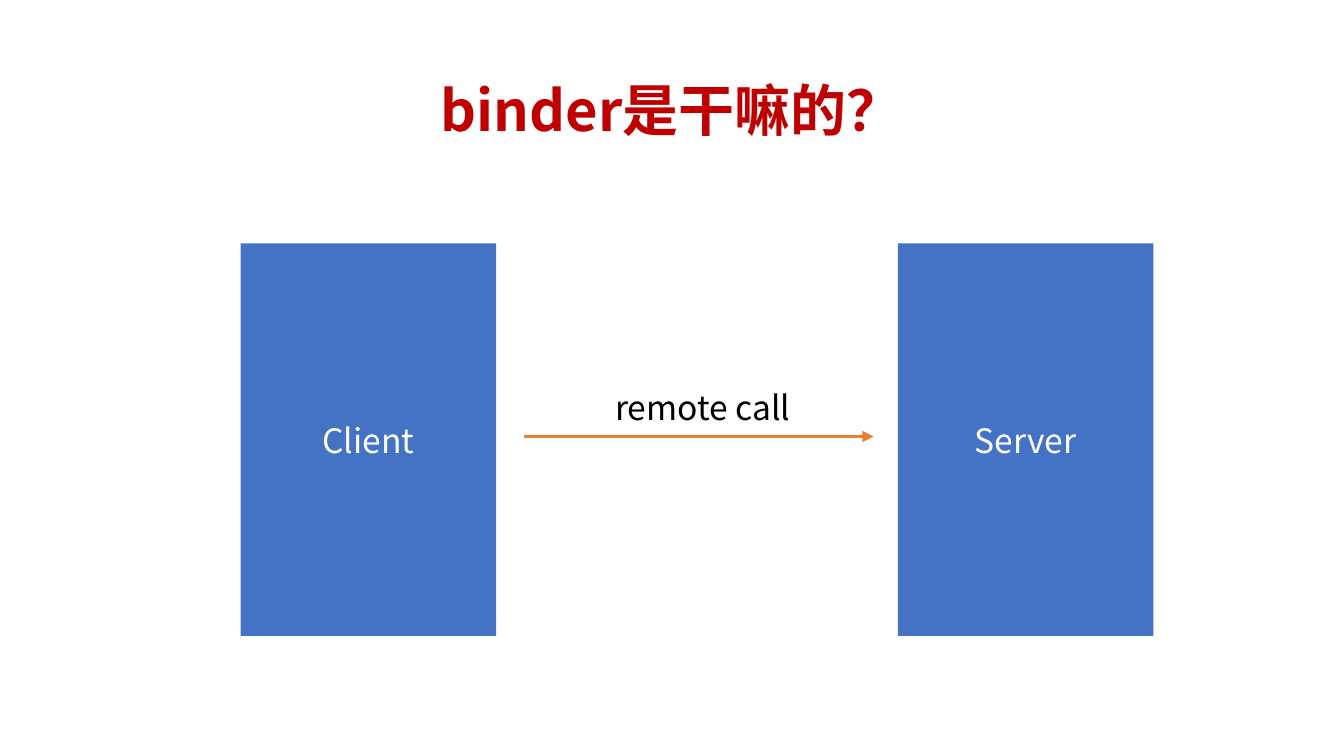
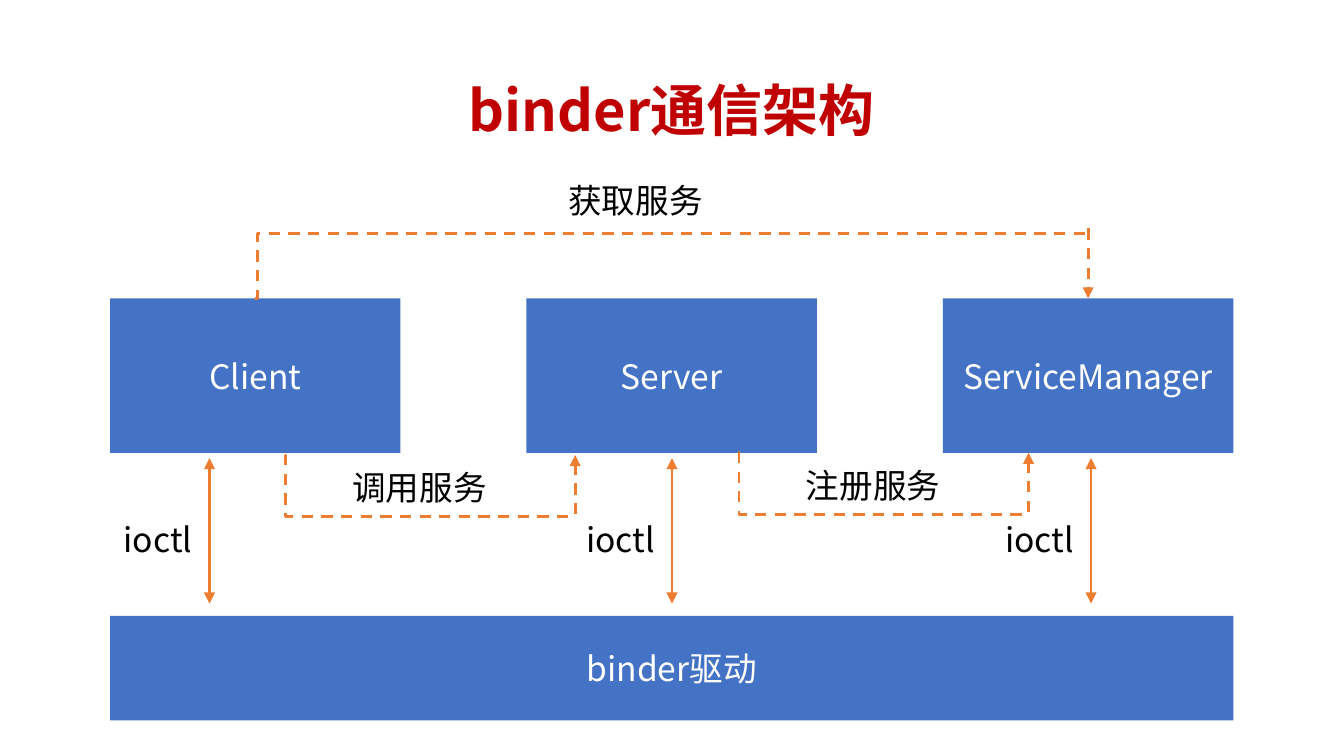
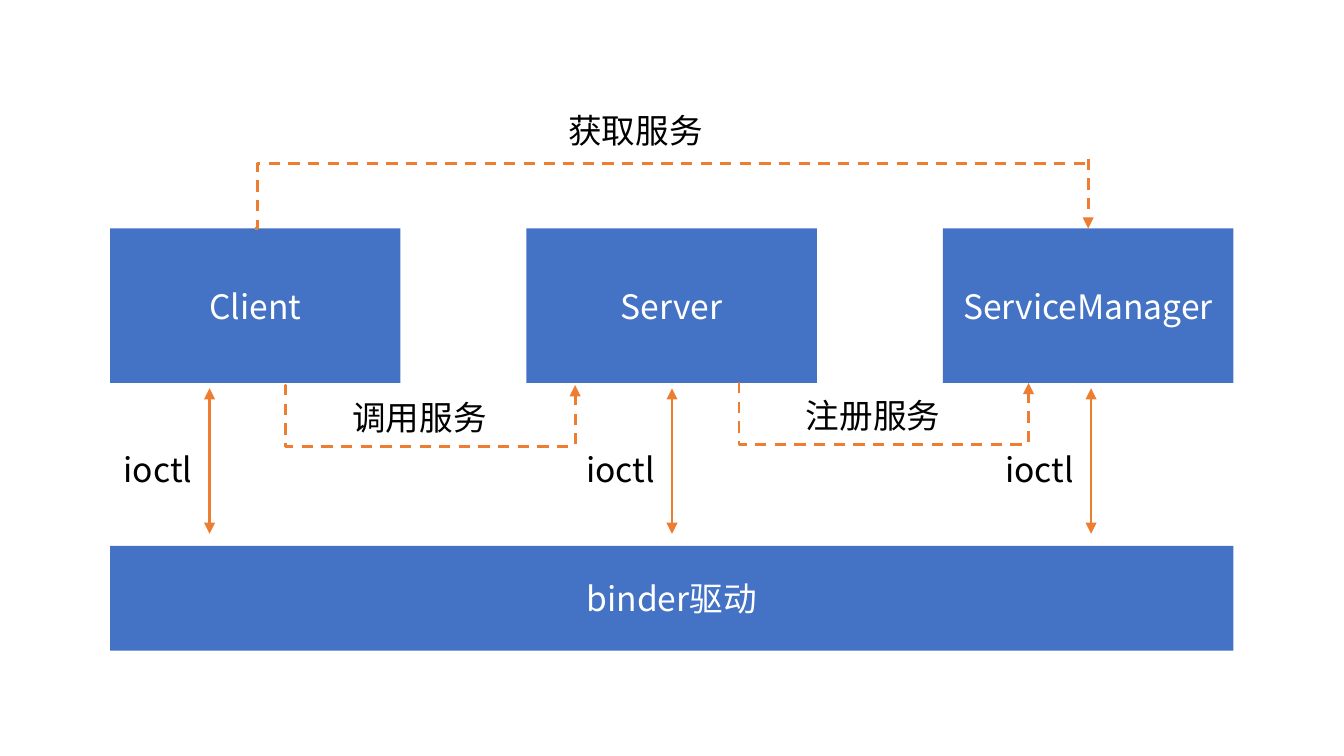
from pptx import Presentation
from pptx.dml.color import RGBColor
from pptx.enum.dml import MSO_LINE
from pptx.enum.shapes import MSO_CONNECTOR, MSO_SHAPE
from pptx.enum.text import MSO_ANCHOR, MSO_AUTO_SIZE, PP_ALIGN
from pptx.oxml.ns import qn
from pptx.util import Cm, Pt
from lxml.etree import SubElement

COLORS = {"title": "C00000", "box": "4472C4", "line": "ED7D31",
          "on_box": "FFFFFF", "label": "000000"}
FONT = "Noto Sans CJK SC"
TITLE = {"size": Pt(30), "bold": True}
BODY = {"size": Pt(18), "bold": False}

BOX_WIDTH, BOX_HEIGHT, BOX_STEP = 5.49, 2.92, 7.87
MARGIN = 2.08


def color(name):
    return RGBColor.from_string(COLORS[name])


def write(shape, text, color_name, font_format=BODY, frame_format=None, **paragraph_format):
    """Put one formatted line of text into a shape."""
    frame = shape.text_frame
    for name, value in (frame_format or {}).items():
        setattr(frame, name, value)
    para = frame.paragraphs[0]
    for name, value in paragraph_format.items():
        setattr(para, name, value)
    span = para.add_run()
    span.text = text
    for name, value in {**font_format, "name": FONT}.items():
        setattr(span.font, name, value)
    span.font.color.rgb = color(color_name)
    SubElement(span.font._element, qn("a:ea"), typeface=FONT)


def add_title(page, text):
    box = page.shapes.add_textbox(Cm(1.75), Cm(0.76), Cm(21.9), Cm(2.77))
    write(box, text, "title", TITLE,
          {"word_wrap": True, "vertical_anchor": MSO_ANCHOR.MIDDLE},
          alignment=PP_ALIGN.CENTER, line_spacing=0.9)


def add_box(shapes, text, left, top, width, height):
    box = shapes.add_shape(MSO_SHAPE.RECTANGLE, Cm(left), Cm(top), Cm(width), Cm(height))
    box.shadow.inherit = False
    box.fill.solid()
    box.fill.fore_color.rgb = color("box")
    box.line.fill.background()
    write(box, text, "on_box", frame_format={"vertical_anchor": MSO_ANCHOR.MIDDLE},
          alignment=PP_ALIGN.CENTER)


def add_label(shapes, text, left, top, width):
    label = shapes.add_textbox(Cm(left), Cm(top), Cm(width), Cm(1.02))
    write(label, text, "label", frame_format={
        "word_wrap": False, "auto_size": MSO_AUTO_SIZE.SHAPE_TO_FIT_TEXT})


def add_line(shapes, start, end, kind=MSO_CONNECTOR.STRAIGHT, dashed=False, ends=("tailEnd",)):
    line = shapes.add_connector(kind, *map(Cm, start + end))
    line.line.color.rgb = color("line")
    line.line.width = Pt(1.5)
    if dashed:
        line.line.dash_style = MSO_LINE.DASH
    for end_name in ends:
        SubElement(line.line._get_or_add_ln(), qn("a:" + end_name), type="triangle")
    SubElement(line._element.spPr, qn("a:effectLst"))
    return line


def add_elbow(shapes, start, end):
    """Dashed line that first runs vertically, then horizontally."""
    elbow = add_line(shapes, start, end, MSO_CONNECTOR.ELBOW, dashed=True, ends=())
    guides = elbow._element.spPr.find(qn("a:prstGeom")).get_or_add_avLst()
    SubElement(guides, qn("a:gd"), name="adj1", fmla="val 300")


def add_service_call(shapes, text, left, top):
    """Dashed path under two neighbouring boxes, pointing up at the second."""
    right = left + BOX_WIDTH
    add_elbow(shapes, (left, top), (right, top + 1.16))
    add_line(shapes, (right, top + 1.12), (right, top), dashed=True)
    add_label(shapes, text, left + 1.03, top + 0.1, 3.07)


def add_architecture(page, top):
    shapes = page.shapes.add_group_shape().shapes
    bottom = top + BOX_HEIGHT

    # Processes and driver
    for index, name in enumerate(("Client", "Server", "ServiceManager")):
        add_box(shapes, name, MARGIN + index * BOX_STEP, top, BOX_WIDTH, BOX_HEIGHT)
    add_box(shapes, "binder驱动", MARGIN, top + 6, 2 * BOX_STEP + BOX_WIDTH, 1.98)

    # Service calls between processes
    add_service_call(shapes, "注册服务", 13.95, bottom)
    add_service_call(shapes, "调用服务", 5.38, bottom + 0.04)
    client_center = MARGIN + BOX_WIDTH / 2
    manager_center = client_center + 2 * BOX_STEP
    add_elbow(shapes, (client_center, top), (manager_center, top - 1.23))
    add_line(shapes, (manager_center, top - 1.32), (manager_center, top), dashed=True)
    add_label(shapes, "获取服务", 10.49, top - 2.36, 3.07)

    # Driver access
    for center in (3.96, 12.7, 20.62):
        add_line(shapes, (center, bottom + 0.1), (center, bottom + 2.85),
                 ends=("headEnd", "tailEnd"))
        add_label(shapes, "ioctl", center - 1.87, top + 4.04, 1.83)


def add_remote_call(page):
    for name, left in (("Client", 4.55), ("Server", 16.97)):
        add_box(page.shapes, name, left, 4.6, 4.83, 7.42)
    add_line(page.shapes, (9.91, 8.25), (16.51, 8.25))
    add_label(page.shapes, "remote call", 11.38, 7.19, 3.94)


def main():
    deck = Presentation()
    deck.slide_width, deck.slide_height = Cm(25.4), Cm(14.29)
    purpose, architecture, overview = (
        deck.slides.add_slide(deck.slide_layouts[6]) for _ in range(3))

    # Purpose of binder
    add_title(purpose, "binder是干嘛的？")
    add_remote_call(purpose)

    # Architecture, with and without a title
    add_title(architecture, "binder通信架构")
    add_architecture(architecture, 5.64)
    add_architecture(overview, 4.32)

    deck.save("out.pptx")


if __name__ == "__main__":
    main()
